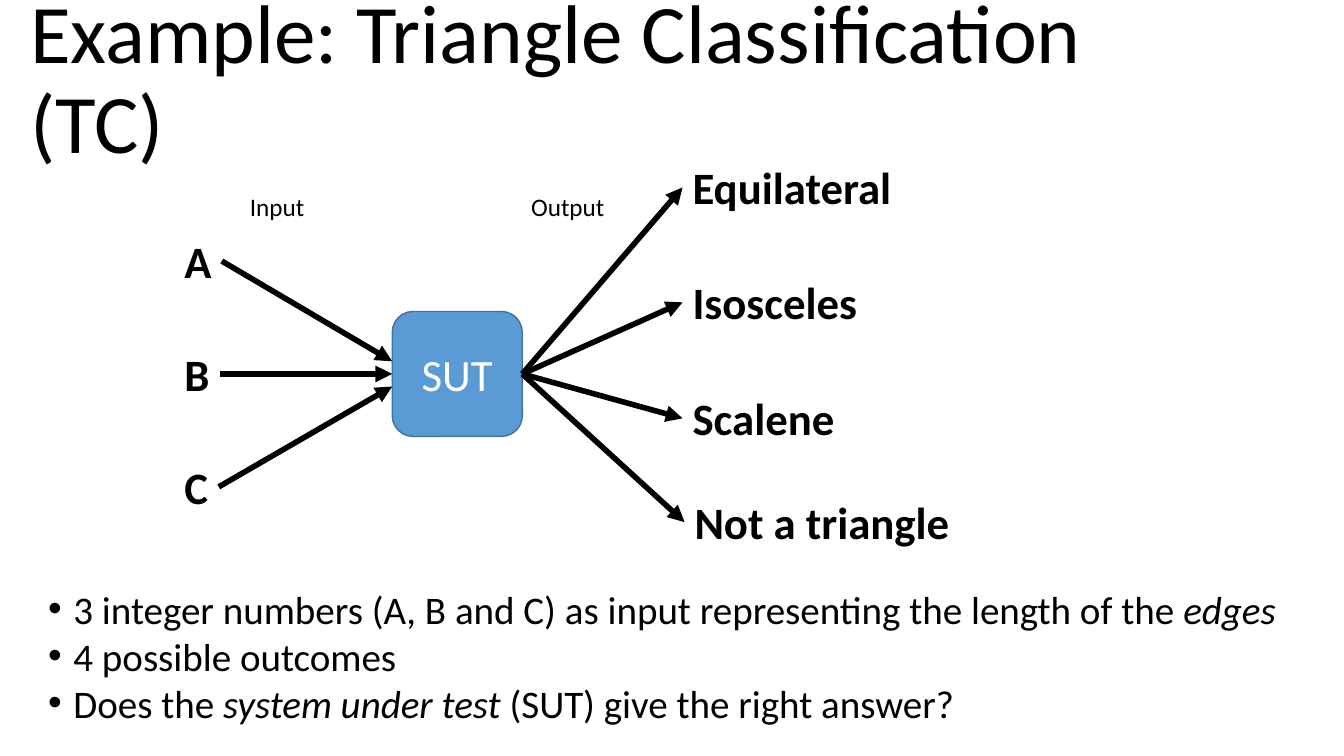
from dataclasses import dataclass
from lxml import etree
from pptx import Presentation
from pptx.dml.color import RGBColor
from pptx.enum.shapes import MSO_CONNECTOR, MSO_SHAPE
from pptx.enum.text import MSO_ANCHOR, MSO_AUTO_SIZE, PP_ALIGN
from pptx.oxml.ns import qn
from pptx.util import Inches, Pt

STRAIGHT = MSO_CONNECTOR.STRAIGHT
ROUND = MSO_SHAPE.ROUNDED_RECTANGLE
MIDDLE = MSO_ANCHOR.MIDDLE
GROW = MSO_AUTO_SIZE.SHAPE_TO_FIT_TEXT
CENTER = PP_ALIGN.CENTER


@dataclass(frozen=True)
class Theme:
    font: str = "Calibri"
    ink: RGBColor = RGBColor(0, 0, 0)
    paper: RGBColor = RGBColor(255, 255, 255)
    fill: RGBColor = RGBColor(0x5B, 0x9B, 0xD5)
    edge: RGBColor = RGBColor(0x43, 0x71, 0x9E)
    title: float = 59.4
    body: float = 27.9
    label: float = 32
    note: float = 18
    arrow: float = 4


THEME = Theme()


def style(para, size, color=THEME.ink, bold=False):
    for run in para.runs:
        font = run.font
        font.name, font.size, font.bold = THEME.font, Pt(size), bold
        font.color.rgb = color


def add_box(slide, box):
    frame = slide.shapes.add_textbox(*map(Inches, box)).text_frame
    frame.word_wrap = True
    return frame


def add_label(slide, text, box, size, bold=False):
    frame = add_box(slide, box)
    frame.word_wrap = False
    frame.auto_size = GROW
    frame.text = text
    style(frame.paragraphs[0], size, bold=bold)


def add_arrow(slide, start, end):
    line = slide.shapes.add_connector(STRAIGHT, *map(Inches, start + end))
    line.line.color.rgb = THEME.ink
    line.line.width = Pt(THEME.arrow)
    etree.SubElement(line.line._get_or_add_ln(), qn("a:tailEnd"), type="triangle")
    etree.SubElement(line._element.spPr, qn("a:effectLst"))


def add_title(slide, text, box):
    frame = add_box(slide, box)
    frame.vertical_anchor = MIDDLE
    frame.text = text
    para = frame.paragraphs[0]
    para.line_spacing = 0.9
    style(para, THEME.title)


def add_system(slide, text, box):
    shape = slide.shapes.add_shape(ROUND, *map(Inches, box))
    shape.shadow.inherit = False
    shape.fill.solid()
    shape.fill.fore_color.rgb = THEME.fill
    shape.line.color.rgb = THEME.edge
    shape.line.width = Pt(1)
    frame = shape.text_frame
    frame.vertical_anchor = MIDDLE
    frame.text = text
    para = frame.paragraphs[0]
    para.alignment = CENTER
    style(para, THEME.label, THEME.paper)


def add_diagram(slide, box):
    left, top, width, height = box
    tall = 0.64
    half = tall / 2
    row = 1.12
    port = 0.125
    sut = (left + 2.16, top + 1.55, 1.29, 1.24)
    mid = sut[1] + sut[3] / 2
    exit_x = sut[0] + sut[2]
    inputs = (("A", 0.47), ("B", 0.45), ("C", 0.44))
    outputs = (("Equilateral", 0, 0, 2.19), ("Isosceles", 0, 1.14, 1.85),
               ("Scalene", 0, 2.29, 1.62), ("Not a triangle", 0.02, 3.32, 2.76))

    add_system(slide, "SUT", sut)
    for step, (name, wide) in enumerate(inputs, -1):
        y = mid + step * row
        add_label(slide, name, (left, y - half, wide, tall), THEME.label, True)
        add_arrow(slide, (left + wide, y), (sut[0], mid + step * port))
    for name, shift, drop, wide in outputs:
        x, y = left + 5.04 + shift, top + drop
        add_label(slide, name, (x, y, wide, tall), THEME.label, True)
        add_arrow(slide, (exit_x, mid), (x, y + half))
    for name, shift, wide in (("Input", 0.65, 0.75), ("Output", 3.44, 0.94)):
        add_label(slide, name, (left + shift, top + 0.31, wide, 0.4), THEME.note)


def add_bullets(slide, items, box):
    frame = add_box(slide, box)
    for index, parts in enumerate(items):
        para = frame.add_paragraph() if index else frame.paragraphs[0]
        props = para._p.get_or_add_pPr()
        props.set("marL", str(Inches(0.25)))
        props.set("indent", str(Inches(-0.25)))
        etree.SubElement(props, qn("a:buFont"), typeface="Arial")
        etree.SubElement(props, qn("a:buChar"), char="•")
        para.line_spacing = 0.7
        para.space_before = Pt(10 if index else 0)
        for order, text in enumerate(parts):
            run = para.add_run()
            run.text = text
            run.font.italic = order % 2 == 1
        style(para, THEME.body)


def main():
    deck = Presentation()
    deck.slide_width, deck.slide_height = Inches(13.33), Inches(7.5)
    slide = deck.slides.add_slide(deck.slide_layouts[6])
    add_title(slide, "Example: Triangle Classification (TC)", (0.2, 0.08, 11.5, 1.45))
    add_bullets(slide, (
        ("3 integer numbers (A, B and C) as input representing the length of the ", "edges"),
        ("4 possible outcomes",),
        ("Does the ", "system under test", " (SUT) give the right answer?"),
    ), (0.38, 5.89, 12.79, 1.42))
    add_diagram(slide, (1.73, 1.54, 7.82, 3.96))
    deck.save("out.pptx")


if __name__ == "__main__":
    main()
